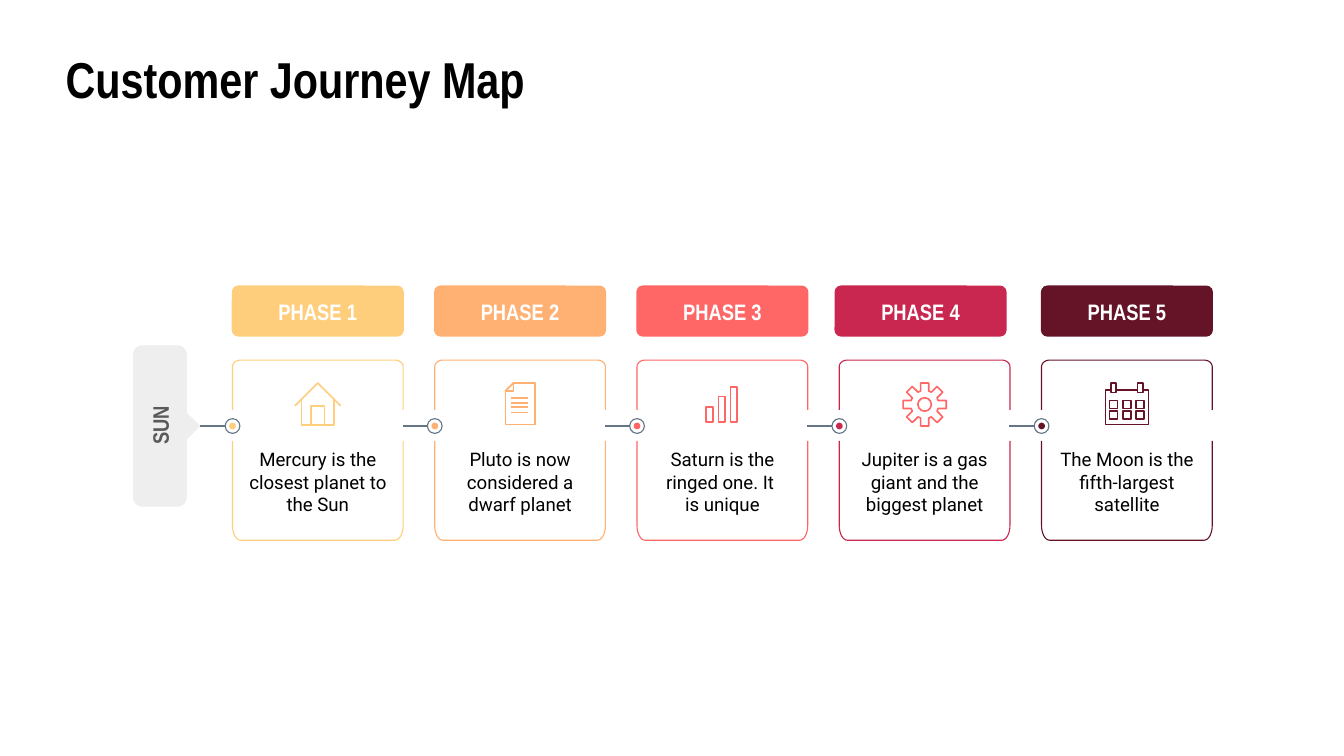
from dataclasses import dataclass
from math import cos, radians, sin

from pptx import Presentation
from pptx.dml.color import RGBColor
from pptx.enum.shapes import MSO_CONNECTOR, MSO_SHAPE
from pptx.enum.text import MSO_ANCHOR, PP_ALIGN
from pptx.oxml.xmlchemy import OxmlElement
from pptx.util import Inches, Pt


@dataclass(frozen=True)
class Theme:
    heading: str = "Arial Narrow"
    body: str = "Roboto"
    title_size: float = 27
    label_size: float = 12
    body_size: float = 10
    thin: float = 0.6
    icon: float = 0.87
    border: float = 0.75
    black: str = "000000"
    white: str = "FFFFFF"
    tag: str = "EEEEEE"
    tag_text: str = "595959"
    track: str = "647586"
    yellow: str = "FFCE7D"
    orange: str = "FFB174"
    coral: str = "FF6666"
    crimson: str = "C9274F"
    wine: str = "651428"


THEME = Theme()


def paint(shape, fill=None, line=None, weight=THEME.thin):
    shape.shadow.inherit = False
    if fill:
        shape.fill.solid()
        shape.fill.fore_color.rgb = RGBColor.from_string(fill)
    else:
        shape.fill.background()
    if line:
        shape.line.color.rgb = RGBColor.from_string(line)
        shape.line.width = Pt(weight)
    else:
        shape.line.fill.background()


def add_outline(shapes, points, closed=False, **style):
    corners = [(Inches(x), Inches(y)) for x, y in points]
    builder = shapes.build_freeform(*corners[0])
    builder.add_line_segments(corners[1:], close=closed)
    paint(builder.convert_to_shape(), **style)


def add_box(shapes, kind, left, top, width, height, **style):
    box = shapes.add_shape(kind, Inches(left), Inches(top), Inches(width), Inches(height))
    paint(box, **style)
    return box


def add_line(shapes, x1, y1, x2, y2, color, weight):
    line = shapes.add_connector(
        MSO_CONNECTOR.STRAIGHT, Inches(x1), Inches(y1), Inches(x2), Inches(y2))
    line.line.color.rgb = RGBColor.from_string(color)
    line.line.width = Pt(weight)
    line._element.spPr.append(OxmlElement("a:effectLst"))


def write(shape, lines, font, size, color, bold=False,
          align=PP_ALIGN.CENTER, anchor=MSO_ANCHOR.MIDDLE):
    frame = shape.text_frame
    frame.word_wrap = True
    frame.vertical_anchor = anchor
    frame.margin_left = frame.margin_right = Inches(0.1)
    frame.margin_top = frame.margin_bottom = Inches(0.1)
    for index, line in enumerate(lines):
        paragraph = frame.add_paragraph() if index else frame.paragraphs[0]
        paragraph.alignment = align
        run = paragraph.add_run()
        run.text = line
        run.font.name = font
        run.font.size = Pt(size)
        run.font.bold = bold
        run.font.color.rgb = RGBColor.from_string(color)


def add_text(slide, left, top, width, height, *content, **options):
    box = slide.shapes.add_textbox(Inches(left), Inches(top), Inches(width), Inches(height))
    write(box, *content, **options)
    return box


def arc(cx, cy, rx, ry, start, steps=8):
    angles = [radians(start + 90 * step / steps) for step in range(steps + 1)]
    return [(cx + rx * cos(a), cy + ry * sin(a)) for a in angles]


def draw_house(shapes, cx, top, color):
    parts = (
        ([(0.12, 0.12), (0.12, 0.31), (-0.12, 0.31), (-0.12, 0.12)], False),
        ([(-0.17, 0.17), (0, 0), (0.17, 0.17)], False),
        ([(-0.05, 0.17), (0.05, 0.17), (0.05, 0.31), (-0.05, 0.31)], True),
    )
    for points, closed in parts:
        add_outline(shapes, [(cx + x, top + y) for x, y in points], closed,
                    line=color, weight=THEME.icon)


def draw_document(shapes, cx, top, color):
    page = [(-0.05, 0), (-0.05, 0.06), (-0.11, 0.06), (-0.11, 0.31), (0.11, 0.31), (0.11, 0)]
    add_outline(shapes, [(cx + x, top + y) for x, y in page], True,
                line=color, weight=THEME.icon)
    add_line(shapes, cx - 0.05, top, cx - 0.11, top + 0.06, color, THEME.icon)
    for y in (0.11, 0.15, 0.18, 0.22):
        add_line(shapes, cx - 0.07, top + y, cx + 0.06, top + y, color, THEME.icon)


def draw_bars(shapes, cx, top, color):
    for index, height in enumerate((0.11, 0.19, 0.26)):
        add_box(shapes, MSO_SHAPE.RECTANGLE, cx - 0.12 + 0.09 * index, top + 0.29 - height,
                0.05, height, line=color, weight=THEME.icon)


def draw_gear(shapes, cx, top, color):
    radius, half_tooth = 0.16, 0.03
    tooth = [(0.1, -half_tooth), (radius, -half_tooth), (radius, half_tooth), (0.1, half_tooth)]
    cy = top + radius
    rim = []
    for index in range(8):
        turn = radians(45 * index)
        rim += [(cx + x * cos(turn) - y * sin(turn), cy + x * sin(turn) + y * cos(turn))
                for x, y in tooth]
    add_outline(shapes, rim, True, line=THEME.coral, weight=THEME.icon)
    add_box(shapes, MSO_SHAPE.OVAL, cx - 0.05, cy - 0.05, 0.1, 0.1,
            line=THEME.coral, weight=THEME.icon)


def draw_calendar(shapes, cx, top, color):
    add_line(shapes, cx - 0.08, top + 0.05, cx + 0.08, top + 0.05, color, THEME.icon)
    body = [(0.12, 0.05), (0.16, 0.05), (0.16, 0.31), (-0.16, 0.31), (-0.16, 0.05), (-0.12, 0.05)]
    add_outline(shapes, [(cx + x, top + y) for x, y in body], line=color, weight=THEME.icon)
    rings = [(x, 0, 0.04, 0.07) for x in (-0.12, 0.08)]
    days = [(x, y, 0.06, 0.06) for y in (0.13, 0.21) for x in (-0.13, -0.03, 0.07)]
    for x, y, width, height in rings + days:
        add_box(shapes, MSO_SHAPE.RECTANGLE, cx + x, top + y, width, height,
                line=color, weight=THEME.icon)


def draw_title(slide, left, top, width, height):
    add_text(slide, left, top, width, height, ["Customer Journey Map"], THEME.heading,
             THEME.title_size, THEME.black, bold=True, align=PP_ALIGN.LEFT, anchor=MSO_ANCHOR.TOP)


def draw_start_tag(slide, left, top, width, height):
    radius, tip = 0.07, 0.1
    right, bottom, middle = left + width - tip, top + height, top + height / 2
    outline = (
        arc(left + radius, top + radius, radius, radius, 180)
        + arc(right - radius, top + radius, radius, radius, 270)
        + [(right, middle - tip), (right + tip, middle), (right, middle + tip)]
        + arc(right - radius, bottom - radius, radius, radius, 0)
        + arc(left + radius, bottom - radius, radius, radius, 90)
    )
    add_outline(slide.shapes, outline, True, fill=THEME.tag)
    label = add_text(slide, left - 0.4, middle - 0.08, height, 0.15, ["SUN"],
                     THEME.heading, THEME.label_size, THEME.tag_text, bold=True)
    label.rotation = 270


def draw_phase(slide, left, top, width, height, name, lines, color, draw_icon, header_shift=0):
    shapes = slide.shapes
    right, bottom, card_top = left + width, top + height, top + 0.55
    track, ring, dot = top + 1.04, 0.11, 0.05
    upper = [(right, card_top + 0.37), *reversed(arc(right - 0.06, card_top + 0.05, 0.06, 0.05, 270)),
             *reversed(arc(left + 0.06, card_top + 0.05, 0.06, 0.05, 180)), (left, card_top + 0.37)]
    lower = [(right, card_top + 0.6), *arc(right - 0.06, bottom - 0.11, 0.06, 0.11, 0),
             *arc(left + 0.06, bottom - 0.11, 0.06, 0.11, 90), (left, card_top + 0.6)]
    for outline in (upper, lower):
        add_outline(shapes, outline, line=color)
    add_line(shapes, left - 0.24, track, left - ring / 2, track, THEME.track, THEME.thin)
    add_box(shapes, MSO_SHAPE.OVAL, left - ring / 2, track - ring / 2, ring, ring, line=THEME.track)
    add_box(shapes, MSO_SHAPE.OVAL, left - dot / 2, track - dot / 2, dot, dot, fill=color)
    draw_icon(shapes.add_group_shape().shapes, left + width / 2, card_top + 0.17, color)
    add_text(slide, left, top + 1.17, width, 0.57, lines, THEME.body, THEME.body_size, THEME.black)
    header = add_box(shapes, MSO_SHAPE.ROUNDED_RECTANGLE, left + header_shift, top, width, 0.37,
                     fill=color, line=color, weight=THEME.border)
    header.adjustments[0] = 0.12
    write(header, [name], THEME.heading, THEME.label_size, THEME.white, bold=True)


def draw_journey(slide, left, top, width, height):
    phases = (
        (["Mercury is the closest planet to the Sun"], THEME.yellow, draw_house, 0),
        (["Pluto is now considered a dwarf planet"], THEME.orange, draw_document, 0),
        (["Saturn is the ringed one. It ", "is unique"], THEME.coral, draw_bars, 0),
        (["Jupiter is a gas giant and the biggest planet"], THEME.crimson, draw_gear, -0.03),
        (["The Moon is the fifth-largest satellite"], THEME.wine, draw_calendar, 0),
    )
    card_width = 1.27
    pitch = (width - card_width) / (len(phases) - 1)
    for index, phase in enumerate(phases):
        draw_phase(slide, left + index * pitch, top, card_width, height,
                   f"PHASE {index + 1}", *phase)


def main():
    deck = Presentation()
    deck.slide_width, deck.slide_height = Inches(10), Inches(10 * 9 / 16)
    slide = deck.slides.add_slide(deck.slide_layouts[6])
    draw_title(slide, 0.39, 0.26, 4.49, 0.62)
    draw_journey(slide, 1.73, 2.13, 7.29, 1.89)
    draw_start_tag(slide, 0.99, 2.57, 0.5, 1.2)
    deck.save("out.pptx")


if __name__ == "__main__":
    main()
